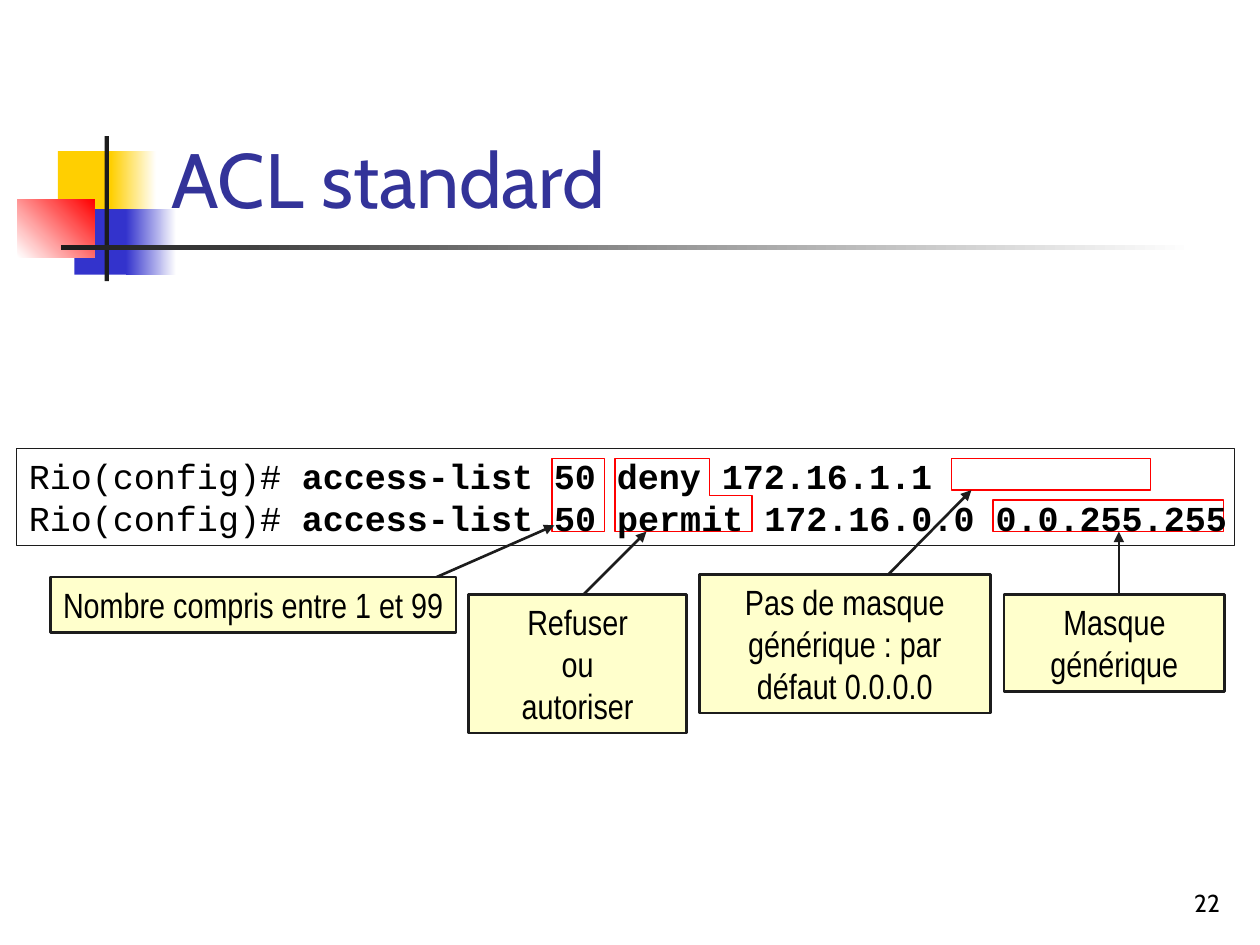
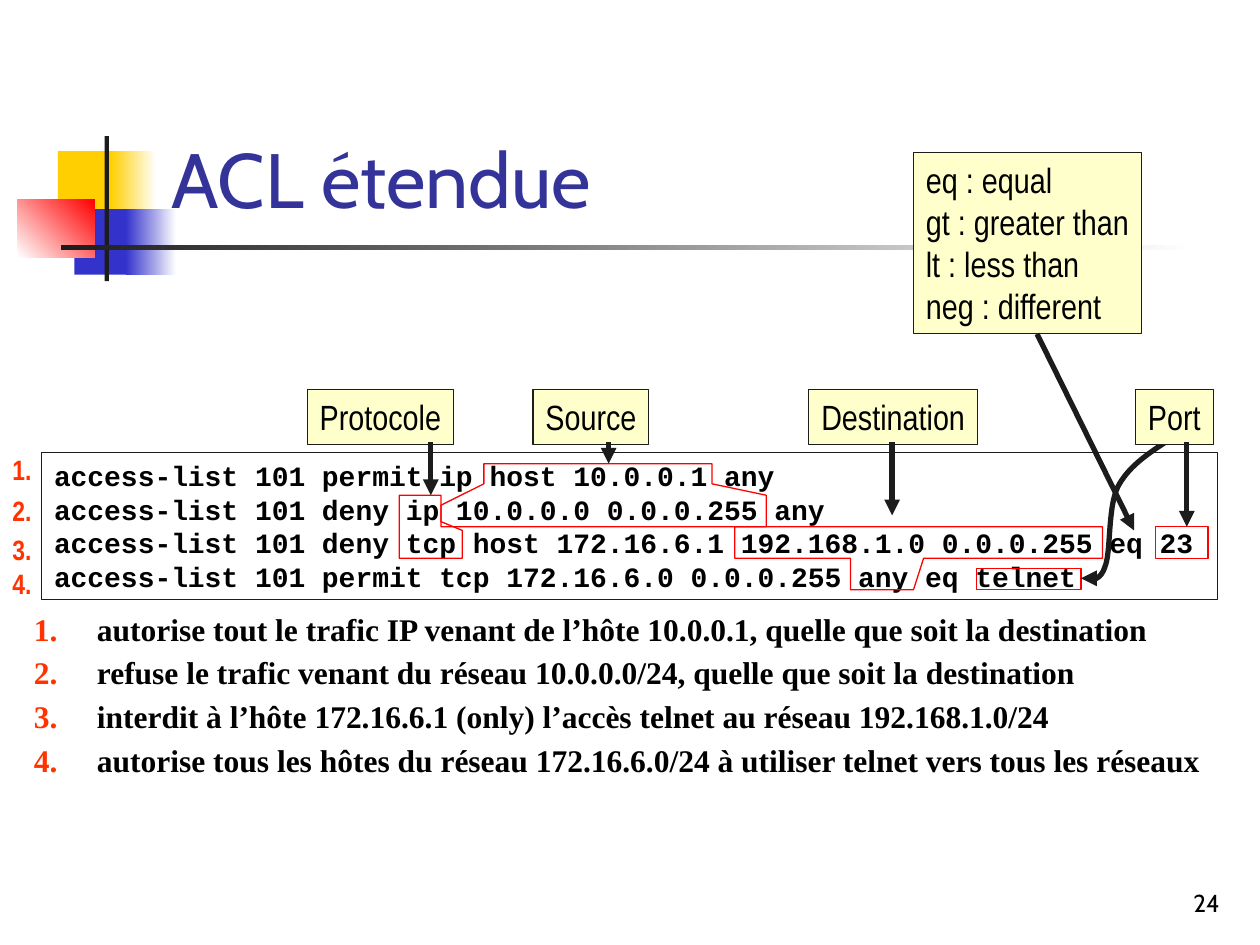
"""Build two slides on standard and extended access lists."""
from dataclasses import dataclass
from typing import Any, NamedTuple, Optional

from lxml import etree
from pptx import Presentation
from pptx.dml.color import RGBColor
from pptx.enum.shapes import MSO_CONNECTOR, MSO_SHAPE
from pptx.enum.text import MSO_ANCHOR, MSO_AUTO_SIZE, PP_ALIGN
from pptx.oxml.ns import qn
from pptx.util import Pt

RECT, LINE = MSO_SHAPE.RECTANGLE, MSO_CONNECTOR.STRAIGHT
LEFT, MID, RIGHT = PP_ALIGN.LEFT, PP_ALIGN.CENTER, PP_ALIGN.RIGHT
TOP, BASE = MSO_ANCHOR.TOP, MSO_ANCHOR.BOTTOM
FIXED = MSO_AUTO_SIZE.NONE
Spot = tuple[float, float]


class Style(NamedTuple):
    font: str
    size: float
    color: str = "000000"
    bold: bool = False
    align: Any = LEFT


@dataclass(frozen=True)
class Theme:
    white: str = "FFFFFF"
    ink: str = "1C1C1C"
    gold: str = "FFCF01"
    blue: str = "3333CC"
    red: str = "FF0000"
    cream: str = "FFFFCC"
    mark: str = "FF3300"
    title: Style = Style("Cabin", 44, "333399")
    page: Style = Style("Cabin", 14, align=RIGHT)
    shell: Style = Style("Courier New", 20)
    order: Style = Style("Courier New", 20, bold=True)
    code: Style = Style("Courier New", 16, bold=True)
    note: Style = Style("Arial Narrow", 20, align=MID)
    key: Style = Style("Arial Narrow", 20)
    step: Style = Style("Arial Narrow", 16, "FF3300", True)
    body: Style = Style("Times New Roman", 18, bold=True)


THEME = Theme()


class Box(NamedTuple):
    x: float
    y: float
    w: float
    h: float
    fill: Optional[str] = None
    edge: Optional[str] = None
    weight: float = 0.75
    text: str = ""
    style: Style = THEME.note
    wrap: bool = False
    anchor: Any = TOP
    fade: Optional[str] = None
    angle: float = 0


class Arrow(NamedTuple):
    start: Spot
    end: Spot
    weight: float = 1.5


def assign(target: Any, **values: Any) -> None:
    for name, value in values.items():
        setattr(target, name, value)


def write(frame: Any, text: str, style: Style, wrap: bool, anchor: Any) -> None:
    assign(frame, word_wrap=wrap, vertical_anchor=anchor, auto_size=FIXED)
    for rank, line in enumerate(text.split("\n")):
        para = frame.add_paragraph() if rank else frame.paragraphs[0]
        assign(para, alignment=style.align, space_before=Pt(0))
        run = para.add_run()
        run.text = line
        assign(run.font, name=style.font, size=Pt(style.size), bold=style.bold)
        run.font.color.rgb = RGBColor.from_string(style.color)


def stroke(shape: Any, color: str, weight: float) -> None:
    shape.line.color.rgb = RGBColor.from_string(color)
    shape.line.width = Pt(weight)


def point(shape: Any) -> None:
    line = shape.element.spPr.find(qn("a:ln"))
    etree.SubElement(line, qn("a:tailEnd"), type="triangle")


def paint(shape: Any, box: Box) -> None:
    shape.shadow.inherit = False
    if box.fade:
        shape.fill.gradient()
        shape.fill.gradient_angle = box.angle
        for stop, color in zip(shape.fill.gradient_stops, (box.fill, box.fade)):
            stop.color.rgb = RGBColor.from_string(color)
    elif box.fill:
        shape.fill.solid()
        shape.fill.fore_color.rgb = RGBColor.from_string(box.fill)
    else:
        shape.fill.background()
    if box.edge:
        stroke(shape, box.edge, box.weight)
    else:
        shape.line.fill.background()


def draw(slide: Any, box: Box) -> None:
    place = [Pt(value) for value in box[:4]]
    if box.fill or box.edge:
        shape = slide.shapes.add_shape(RECT, *place)
        paint(shape, box)
    else:
        shape = slide.shapes.add_textbox(*place)
    if box.text:
        write(shape.text_frame, box.text, box.style, box.wrap, box.anchor)


def link(slide: Any, arrow: Arrow) -> None:
    ends = [Pt(value) for value in arrow.start + arrow.end]
    shape = slide.shapes.add_connector(LINE, *ends)
    stroke(shape, THEME.ink, arrow.weight)
    point(shape)
    etree.SubElement(shape.element.spPr, qn("a:effectLst"))


def trace(slide: Any, spots: list[Spot], color: str, weight: float, close: bool) -> Any:
    first, *rest = [(Pt(x), Pt(y)) for x, y in spots]
    pen = slide.shapes.build_freeform(*first)
    pen.add_line_segments(rest, close=close)
    shape = pen.convert_to_shape()
    shape.shadow.inherit = False
    shape.fill.background()
    stroke(shape, color, weight)
    return shape


def bend(knots: list[Spot], steps: int = 16) -> list[Spot]:
    spots = [knots[0]]
    for base in range(0, len(knots) - 1, 3):
        curve = knots[base:base + 4]
        for step in range(1, steps + 1):
            t = step / steps
            parts = ((1 - t) ** 3, 3 * t * (1 - t) ** 2, 3 * t * t * (1 - t), t ** 3)
            x, y = (sum(p * k[axis] for p, k in zip(parts, curve)) for axis in (0, 1))
            spots.append((x, y))
    return spots


def move(shape: Any, x: float, y: float, w: float, h: float) -> None:
    assign(shape, left=Pt(x), top=Pt(y), width=Pt(w), height=Pt(h))


DECOR = [
    Box(33.1, 86.4, 34.6, 37.4, THEME.gold),
    Box(63.4, 86.4, 25.9, 37.4, THEME.gold, fade=THEME.white),
    Box(42.5, 119.5, 33.1, 37.4, THEME.blue),
    Box(72, 119.5, 28.8, 37.4, THEME.blue, fade=THEME.white),
    Box(10.1, 113.8, 43.9, 33.1, THEME.white, fade=THEME.red, angle=45),
    Box(59.8, 77.8, 2.4, 82.8, THEME.ink),
    Box(34.6, 140.2, 648, 2.4, THEME.ink, fade=THEME.white),
]


def begin(deck: Any, layout: int, title: str, page: str) -> Any:
    slide = deck.slides.add_slide(deck.slide_layouts[layout])
    for box in DECOR:
        draw(slide, box)
    head = slide.shapes.title
    slide.shapes.element.append(head.element)
    move(head, 90.7, 16.6, 613.4, 115.2)
    write(head.text_frame, title, THEME.title, True, BASE)
    draw(slide, Box(554.4, 491.8, 149.8, 36, text=page, style=THEME.page,
                    wrap=True, anchor=BASE))
    return slide


def note(x: float, y: float, w: float, h: float, text: str, **extra: Any) -> Box:
    return Box(x, y, w, h, THEME.cream, THEME.ink, text=text, **extra)


def basic(deck: Any) -> None:
    slide = begin(deck, 5, "ACL standard", "22")
    left, top, pitch, cell = 9.4, 256.3, 24, 12
    shell, order = THEME.shell, THEME.order
    draw(slide, Box(left, top, 696.2, 55.4, THEME.white, THEME.ink,
                    text="Rio(config)#", style=shell, wrap=True))
    for x, y, w, fill, h in [(315.4, 262.1, 30.2, None, 41.8),
                             (567.4, 285.8, 131.8, None, 18),
                             (543.6, 262.1, 113.8, THEME.white, 18)]:
        draw(slide, Box(x, y, w, h, fill, THEME.red))
    verbs = [(351.4, 303.8), (351.4, 262.1), (405.4, 262.1), (405.4, 283),
             (429.8, 283), (429.8, 303.8)]
    trace(slide, verbs, THEME.red, 0.75, True)
    for row, col, text, style in [
        (0, 13, "access-list", order),
        (0, 25, "50", order),
        (0, 28, "deny", order),
        (0, 33, "172.16.1.1", order),
        (1, 0, "Rio(config)#", shell),
        (1, 13, "access-list 50 permit 172.16.0.0 0.0.255.255", order),
    ]:
        draw(slide, Box(left + col * cell, top + row * pitch, len(text) * cell + 14.4,
                        31.7, text=text, style=style))
    for arrow in [Arrow((333.4, 339.8), (369.4, 303.8)),
                  Arrow((639.4, 339.8), (639.4, 303.8)),
                  Arrow((507.6, 328.3), (555.1, 280.1)),
                  Arrow((223.2, 341.3), (316.8, 300.2))]:
        link(slide, arrow)
    for box in [
        note(267.8, 339.8, 124.6, 79.2, "Refuser\nou\nautoriser", weight=1.5, wrap=True),
        note(573.8, 339.8, 126, 55.4, "Masque générique", weight=1.5, wrap=True),
        note(399.6, 328.3, 166.3, 79.2, "Pas de masque générique : par défaut 0.0.0.0",
             weight=1.5, wrap=True),
        note(28.8, 329.8, 231.8, 31.7, "Nombre compris entre 1 et 99", weight=1.5),
    ]:
        draw(slide, box)


RULES = """access-list 101 permit ip host 10.0.0.1 any
access-list 101 deny ip 10.0.0.0 0.0.0.255 any
access-list 101 deny tcp host 172.16.6.1 192.168.1.0 0.0.0.255 eq 23
access-list 101 permit tcp 172.16.6.0 0.0.0.255 any eq telnet"""
SENSE = """autorise tout le trafic IP venant de l’hôte 10.0.0.1, quelle que soit la destination
refuse le trafic venant du réseau 10.0.0.0/24, quelle que soit la destination
interdit à l’hôte 172.16.6.1 (only) l’accès telnet au réseau 192.168.1.0/24
autorise tous les hôtes du réseau 172.16.6.0/24 à utiliser telnet vers tous les réseaux"""


def number(body: Any) -> None:
    for para in body.text_frame.paragraphs[1:]:
        para.space_before = Pt(3.3)
    for props in body.element.iter(qn("a:pPr")):
        for name, value in {"marL": Pt(36), "indent": Pt(-36)}.items():
            props.set(name, str(value))
        tint = etree.SubElement(props, qn("a:buClr"))
        etree.SubElement(tint, qn("a:srgbClr"), val=THEME.mark)
        etree.SubElement(props, qn("a:buFontTx"))
        etree.SubElement(props, qn("a:buAutoNum"), type="arabicPeriod")


def extend(deck: Any) -> None:
    slide = begin(deck, 1, "ACL étendue", "24")
    body = slide.placeholders[1]
    move(body, 12.2, 344.9, 690, 102)
    write(body.text_frame, SENSE, THEME.body, True, TOP)
    number(body)
    draw(slide, Box(23.8, 258.5, 671.8, 84.2, THEME.white, THEME.ink,
                    text=RULES, style=THEME.code, wrap=True))
    for rank, y in enumerate((254.9, 278.6, 301, 320.4), 1):
        draw(slide, Box(0, y, 25.2, 26.6, text=f"{rank}.", style=THEME.step))
    for spots in [
        [(276.5, 265), (276.5, 276.5), (252, 288.7), (252, 301), (437.8, 301),
         (437.8, 283), (406.8, 276.5), (406.8, 265)],
        [(419.8, 301), (630, 301), (630, 319), (527.8, 319), (522, 337),
         (486, 337), (486, 319), (419.8, 319)],
        [(228.2, 283), (252, 283), (252, 298.1), (264.2, 303.1), (264.2, 319),
         (228.2, 319)],
    ]:
        trace(slide, spots, THEME.red, 0.75, True)
    draw(slide, Box(660.2, 301, 30.2, 18, edge=THEME.red))
    draw(slide, Box(558, 324.7, 59.8, 12.2, edge=THEME.red))
    knots = [(666, 252.7), (655.2, 259.9), (644.4, 267.1), (638.6, 278.6),
             (632.9, 290.9), (635, 315.4), (631.4, 324), (628.6, 332.6),
             (622.8, 331.9), (617.8, 330.5)]
    point(trace(slide, bend(knots), THEME.ink, 3, False))
    for text, x, w, stem, tip in [("Protocole", 175.7, 83.5, 246.2, 283),
                                  ("Source", 304.6, 66.2, 347.8, 265),
                                  ("Destination", 462.2, 96.5, 509.8, 294.5),
                                  ("Port", 648.7, 44.6, 678.2, 301)]:
        draw(slide, note(x, 222.5, w, 31.7, text))
        link(slide, Arrow((stem, 252.7), (stem, tip), 3))
    draw(slide, note(522, 87.1, 130.3, 103.7, "eq : equal\ngt : greater than\n"
                     "lt : less than\nneg : different", style=THEME.key))
    link(slide, Arrow((592.6, 190.8), (648, 303.1), 3))


def main() -> None:
    deck = Presentation()
    assign(deck, slide_width=Pt(720), slide_height=Pt(540))
    basic(deck)
    extend(deck)
    deck.save("out.pptx")


if __name__ == "__main__":
    main()
